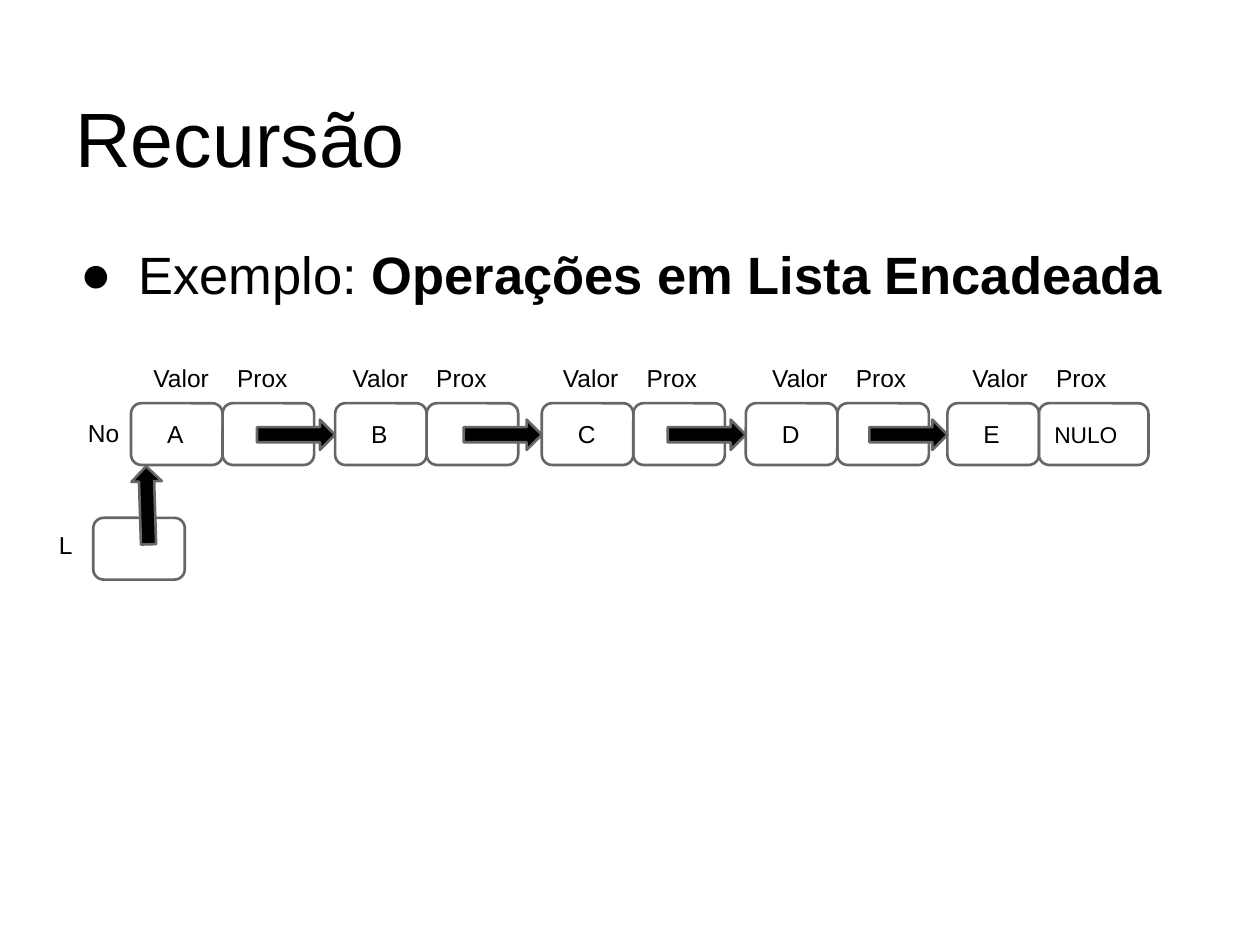
from dataclasses import dataclass

from lxml import etree
from pptx import Presentation
from pptx.dml.color import RGBColor
from pptx.enum.shapes import MSO_SHAPE
from pptx.enum.text import MSO_ANCHOR, PP_ALIGN
from pptx.oxml.ns import qn
from pptx.util import Pt

ROUNDED = MSO_SHAPE.ROUNDED_RECTANGLE
RIGHT_ARROW = MSO_SHAPE.RIGHT_ARROW
TOP, MIDDLE, BOTTOM = MSO_ANCHOR.TOP, MSO_ANCHOR.MIDDLE, MSO_ANCHOR.BOTTOM
LEFT = PP_ALIGN.LEFT


@dataclass(frozen=True)
class Theme:
    font: str = "Arial"
    ink: RGBColor = RGBColor(0, 0, 0)
    outline: RGBColor = RGBColor(0x66, 0x66, 0x66)
    title: float = 44
    body: float = 30
    label: float = 14
    null: float = 13
    line: float = 1.5


THEME = Theme()
INSET = 7.2
LETTER_INSET = 18.9
CELL_W, CELL_H, NULL_W = 52.3, 35.3, 62.6
NODE_TOP, HEADER_TOP, HEAD_TOP = 230.4, 200.2, 295.9
HEADER_W, PROX_OFFSET = 67.7, 47.8
ARROW_W, ARROW_H, ARROW_TOP = 44.6, 17.3, 239.8

# value, left of the node, left of its headers
NODES = [
    ("A", 74.9, 80.6),
    ("B", 191.5, 194.4),
    ("C", 309.6, 314.6),
    ("D", 426.2, 434.2),
    ("E", 541.4, 548.6),
]


def write(shape, runs, size, anchor=TOP, left_inset=INSET):
    """Fill a shape with one paragraph of (text, bold) runs."""
    frame = shape.text_frame
    frame.word_wrap = True
    frame.vertical_anchor = anchor
    frame.margin_left = Pt(left_inset)
    frame.margin_right = frame.margin_top = frame.margin_bottom = Pt(INSET)
    paragraph = frame.paragraphs[0]
    paragraph.alignment = LEFT
    for text, bold in runs:
        run = paragraph.add_run()
        run.text = text
        run.font.name = THEME.font
        run.font.size = Pt(size)
        run.font.bold = bold
        run.font.color.rgb = THEME.ink
    return paragraph


def add_text(slide, box, runs, size, anchor=TOP):
    textbox = slide.shapes.add_textbox(*map(Pt, box))
    return write(textbox, runs, size, anchor)


def add_label(slide, left, top, width, height, text):
    add_text(slide, (left, top, width, height), [(text, False)], THEME.label)


def add_outlined(slide, preset, left, top, width, height):
    shape = slide.shapes.add_shape(preset, Pt(left), Pt(top), Pt(width), Pt(height))
    shape.shadow.inherit = False
    shape.fill.background()
    shape.line.color.rgb = THEME.outline
    shape.line.width = Pt(THEME.line)
    return shape


def add_cell(slide, left, top, width=CELL_W):
    return add_outlined(slide, ROUNDED, left, top, width, CELL_H)


def add_arrow(slide, left, top, rotation=0):
    arrow = add_outlined(slide, RIGHT_ARROW, left, top, ARROW_W, ARROW_H)
    arrow.fill.solid()
    arrow.fill.fore_color.rgb = THEME.ink
    arrow.rotation = rotation


def add_bullet(paragraph, indent, hanging):
    properties = paragraph._p.get_or_add_pPr()
    properties.set("marL", str(Pt(indent)))
    properties.set("indent", str(-Pt(hanging)))
    color = etree.SubElement(properties, qn("a:buClr"))
    etree.SubElement(color, qn("a:srgbClr"), val=str(THEME.ink))
    etree.SubElement(properties, qn("a:buFont"), typeface=THEME.font)
    etree.SubElement(properties, qn("a:buChar"), char="●")


def add_node(slide, value, left, is_last):
    next_cell = add_cell(slide, left + CELL_W, NODE_TOP, NULL_W if is_last else CELL_W)
    if is_last:
        write(next_cell, [("NULO", False)], THEME.null, MIDDLE)
    value_cell = add_cell(slide, left, NODE_TOP)
    write(value_cell, [(value, False)], THEME.label, MIDDLE, LETTER_INSET)


def main():
    prs = Presentation()
    prs.slide_width, prs.slide_height = Pt(720), Pt(540)
    slide = prs.slides.add_slide(prs.slide_layouts[6])

    # Title and topic
    add_text(slide, (36, 21.6, 648, 90), [("Recursão", False)], THEME.title, BOTTOM)
    topic = add_text(
        slide,
        (36, 126, 648, 391),
        [("Exemplo: ", False), ("Operações em Lista Encadeada", True)],
        THEME.body,
    )
    topic.line_spacing = 1.15
    add_bullet(topic, 36, 33)

    # Nodes and the head of the list
    for value, left, _ in NODES:
        add_node(slide, value, left, value == NODES[-1][0])
    add_cell(slide, 53.3, HEAD_TOP)

    # Links: each arrow ends at the following node
    for _, left, _ in NODES[1:]:
        add_arrow(slide, left - ARROW_W, ARROW_TOP)
    add_arrow(slide, 61.9, 280.1, 268.2)

    # Labels
    for _, _, left in NODES:
        add_label(slide, left, HEADER_TOP, HEADER_W, CELL_H, "Valor")
        add_label(slide, left + PROX_OFFSET, HEADER_TOP, HEADER_W, CELL_H, "Prox")
    add_label(slide, 26.6, HEAD_TOP, 33.1, CELL_H, "L")
    add_label(slide, 43.2, 231.8, 40.3, 45.4, "No")

    prs.save("out.pptx")


if __name__ == "__main__":
    main()
